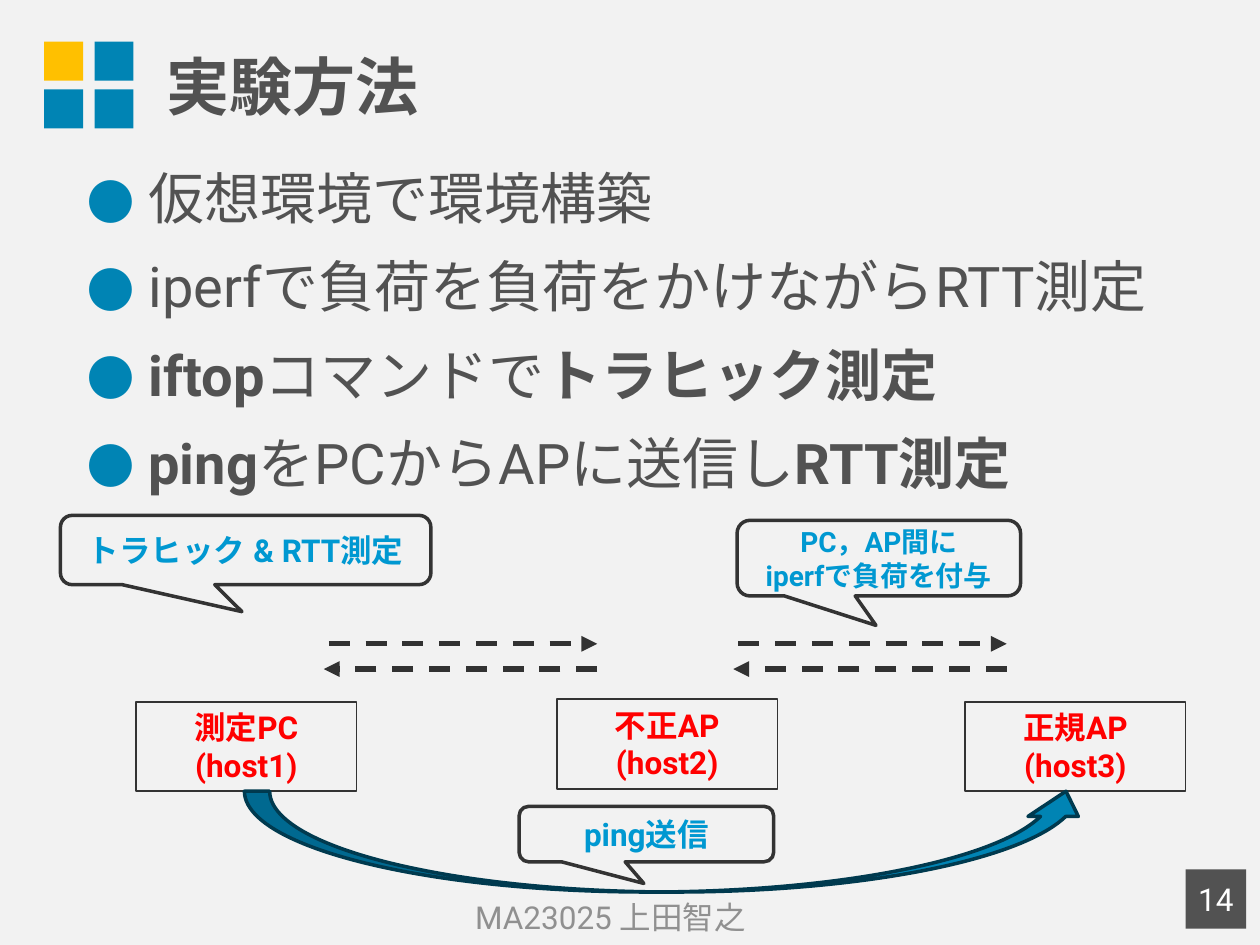
from lxml.etree import SubElement as Sub
from pptx import Presentation
from pptx.dml.color import RGBColor
from pptx.enum.dml import MSO_LINE as Dash
from pptx.enum.lang import MSO_LANGUAGE_ID as Lang
from pptx.enum.shapes import MSO_CONNECTOR as Link, MSO_SHAPE as Form
from pptx.enum.text import MSO_ANCHOR as Anchor, MSO_AUTO_SIZE as Fit, PP_ALIGN as Align
from pptx.oxml.ns import qn
from pptx.util import Inches, Pt

# The slide is a grid of 100 columns and 75 rows.
CELL = Inches(0.1)
COLS, ROWS = 100, 75
FONT = "Roboto"
BLUE, GOLD, GREY, INK = "0084B4", "FFC000", "525252", "333333"

TITLE = {"size": 36, "bold": True, "color": GREY}
BODY = {"size": 32, "color": GREY}
FOOT = {"size": 18, "color": "909090"}
PAGE = {"size": 18, "color": "FFFFFF"}
HOST = {"size": 18, "bold": True, "color": "FF0000"}
NOTE = {"size": 18, "bold": True, "color": "0098D1"}

# Each line is a list of (text, bold) runs.
POINTS = [
    [("仮想環境で環境構築", False)],
    [("iperfで負荷を負荷をかけながらRTT測定", False)],
    [("iftop", True), ("コマンドで", False), ("トラヒック測定", True)],
    [("ping", True), ("をPCからAPに送信し", False), ("RTT測定", True)],
]


def cells(*nums):
    return [round(n * CELL) for n in nums]


def paint(fmt, color):
    """Set a solid colour on a fill, or clear it when there is none."""
    if color:
        fmt.solid()
        fmt.fore_color.rgb = RGBColor.from_string(color)
    else:
        fmt.background()


def style(run, look):
    font = run.font
    values = {"name": FONT, "language_id": Lang.JAPANESE, **look}
    values["size"] = Pt(look["size"])
    color = values.pop("color")
    for key, value in values.items():
        setattr(font, key, value)
    font.color.rgb = RGBColor.from_string(color)
    Sub(run._r.get_or_add_rPr(), qn("a:ea"), typeface=FONT)


def write(shape, lines, look, align=Align.CENTER, anchor=Anchor.MIDDLE):
    frame = shape.text_frame
    frame.word_wrap = True
    frame.vertical_anchor = anchor
    for i, line in enumerate(lines):
        para = frame.add_paragraph() if i else frame.paragraphs[0]
        para.alignment = align
        run = para.add_run()
        run.text = line
        style(run, look)


def label(slide, box, line, look, align=Align.CENTER):
    write(slide.shapes.add_textbox(*cells(*box)), [line], look, align)


def draw(slide, form, box, fill=None, line=None, width=1):
    shape = slide.shapes.add_shape(form, *cells(*box))
    shape.shadow.inherit = False
    paint(shape.fill, fill)
    paint(shape.line.fill, line)
    if line:
        shape.line.width = Pt(width)
    return shape


def bullets(slide, box):
    frame = slide.shapes.add_textbox(*cells(*box)).text_frame
    frame.word_wrap = True
    for i, runs in enumerate(POINTS):
        para = frame.add_paragraph() if i else frame.paragraphs[0]
        para.space_before = Pt(12 if i else 0)
        props = para._p.get_or_add_pPr()
        indent = cells(4.9)[0]
        props.set("marL", str(indent))
        props.set("indent", str(-indent))
        Sub(Sub(props, qn("a:buClr")), qn("a:srgbClr"), val=BLUE)
        Sub(props, qn("a:buFont"), typeface=FONT)
        Sub(props, qn("a:buChar"), char="●")
        for text, bold in runs:
            run = para.add_run()
            run.text = text
            style(run, {**BODY, "bold": bold})


def arrow(slide, start, end, row):
    link = slide.shapes.add_connector(Link.STRAIGHT, *cells(start, row, end, row))
    paint(link.line.fill, "323232")
    link.line.width = Pt(3)
    link.line.dash_style = Dash.DASH
    Sub(link.line._get_or_add_ln(), qn("a:tailEnd"), type="triangle")
    Sub(link._element.spPr, qn("a:effectLst"))


def host(slide, left, top, lines):
    shape = draw(slide, Form.RECTANGLE, (left, top, 17.5, 7.1), line=INK)
    write(shape, lines, HOST, anchor=Anchor.TOP)
    shape.text_frame.auto_size = Fit.SHAPE_TO_FIT_TEXT


def note(slide, box, lines, size=18):
    shape = draw(slide, Form.ROUNDED_RECTANGULAR_CALLOUT, box, line=INK, width=2)
    for i, value in enumerate((-0.01, 0.89, 0.17)):
        shape.adjustments[i] = value
    write(shape, lines, {**NOTE, "size": size})


def main():
    deck = Presentation()
    deck.slide_width, deck.slide_height = cells(COLS, ROWS)
    slide = deck.slides.add_slide(deck.slide_layouts[6])
    paint(slide.background.fill, "F2F2F2")

    for i in range(4):
        box = (3.5 + i % 2 * 4, 3.3 + i // 2 * 3.8, 3.1, 3.1)
        draw(slide, Form.RECTANGLE, box, BLUE if i else GOLD)
    label(slide, (12.2, 0.5, 87.8, 12.5), "実験方法", TITLE, Align.LEFT)
    bullets(slide, (5.9, 12.5, 91.5, 53.6))
    label(slide, (3.5, 70.8, 89.9, 4), "MA23025 上田智之", FOOT)
    page = draw(slide, Form.RECTANGLE, (94.1, 69, 4.8, 4.7), GREY)
    write(page, ["14"], PAGE)

    for left in (26.1, 58.6):
        right = left + 21.3
        arrow(slide, left, right, 51.1)
        arrow(slide, right, left - 0.4, 53.1)
    host(slide, 10.8, 55.7, ["測定PC", "(host1)"])
    host(slide, 44.2, 55.5, ["不正AP", "(host2)"])
    host(slide, 76.6, 55.7, ["正規AP", "(host3)"])

    note(slide, (58.5, 41.3, 22.5, 6), ["PC，AP間に", "iperfで負荷を付与"], 16)
    note(slide, (4.8, 40.9, 29.4, 5.5), ["トラヒック & RTT測定"])
    draw(slide, Form.CURVED_UP_ARROW, (19.4, 62.8, 67.2, 8), BLUE, "003A4F", 2)
    note(slide, (41.2, 64, 20.2, 4.4), ["ping送信"])
    deck.save("out.pptx")


if __name__ == "__main__":
    main()
